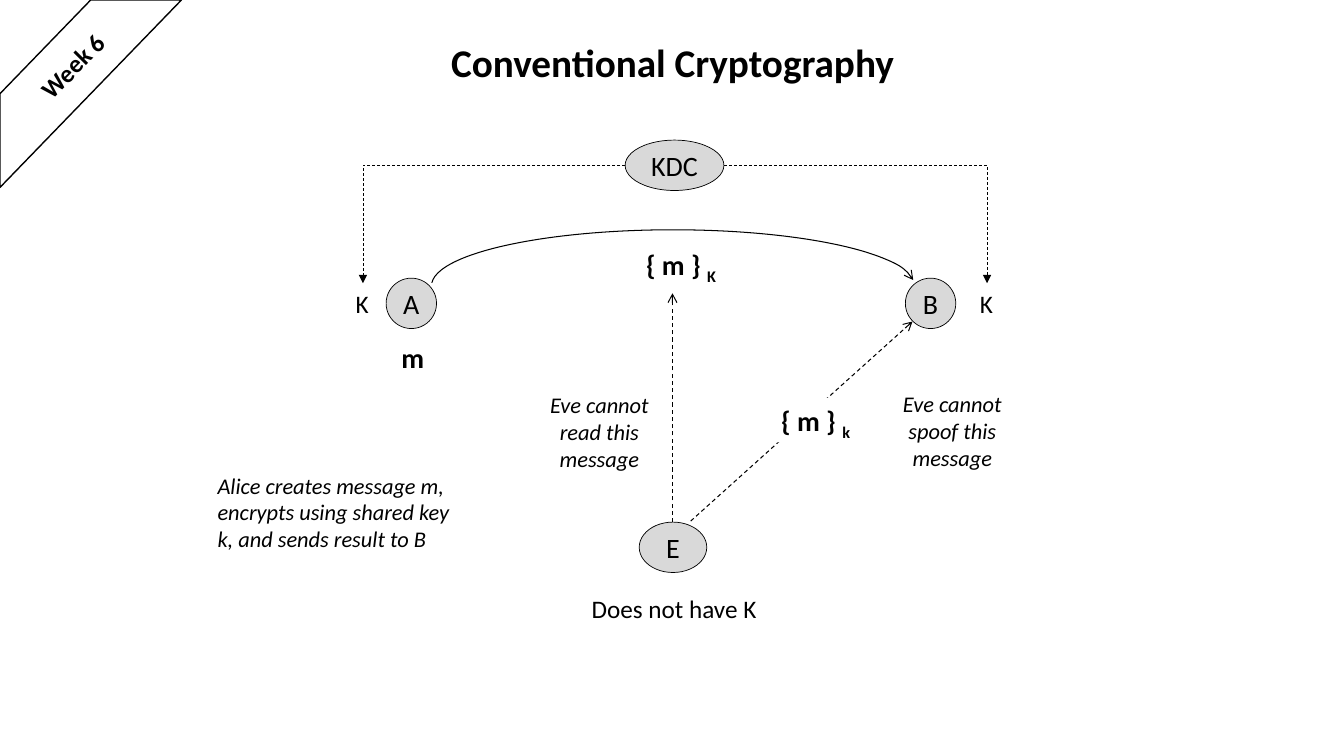
from lxml.etree import SubElement
from pptx import Presentation
from pptx.dml.color import RGBColor
from pptx.enum.dml import MSO_LINE
from pptx.enum.shapes import MSO_CONNECTOR, MSO_SHAPE
from pptx.enum.text import MSO_ANCHOR, PP_ALIGN
from pptx.oxml.ns import qn
from pptx.util import Inches, Pt

BLACK = RGBColor(0x00, 0x00, 0x00)
WHITE = RGBColor(0xFF, 0xFF, 0xFF)
GREY = RGBColor(0xD9, 0xD9, 0xD9)
LEFT, CENTER = PP_ALIGN.LEFT, PP_ALIGN.CENTER

deck = Presentation()
deck.slide_width, deck.slide_height = Inches(13.33), Inches(7.5)
page = deck.slides.add_slide(deck.slide_layouts[6])


def write(shape, text, size, align=CENTER, anchor=MSO_ANCHOR.TOP, wrap=False, subscript="", **style):
    """Fill a shape with text, one paragraph a line, and an optional subscript."""
    frame = shape.text_frame
    frame.word_wrap, frame.vertical_anchor = wrap, anchor
    look = {"name": "Calibri", "size": Pt(size), **style}
    for number, line in enumerate(text.split("\n")):
        para = frame.add_paragraph() if number else frame.paragraphs[0]
        para.alignment = align
        for part in filter(None, (line, subscript)):
            span = para.add_run()
            span.text = part
            for key, value in look.items():
                setattr(span.font, key, value)
            span.font.color.rgb = BLACK
            if part == subscript:
                span.font._element.set("baseline", "-25000")


def draw_line(shape, width, head=None, dash=None):
    """Give a shape or connector a black line, with an optional end arrow."""
    shape.line.color.rgb = BLACK
    shape.line.width = Pt(width)
    if dash:
        shape.line.dash_style = dash
    if head:
        SubElement(shape.line._get_or_add_ln(), qn("a:tailEnd"), type=head)


# Corner ribbon
ribbon = page.shapes.add_shape(MSO_SHAPE.DIAGONAL_STRIPE, 0, 0, Inches(1.8), Inches(1.86))
ribbon.shadow.inherit = False
ribbon.fill.solid()
ribbon.fill.fore_color.rgb = WHITE
draw_line(ribbon, 1)
week = page.shapes.add_textbox(Inches(0.23), Inches(0.45), Inches(0.98), Inches(0.4))
week.rotation = 314.8
write(week, "Week 6", 18, LEFT, bold=True)

# Title
title = page.shapes.add_textbox(Inches(2.17), Inches(0.02), Inches(9), Inches(1.25))
write(title, "Conventional Cryptography", 28, anchor=MSO_ANCHOR.MIDDLE, wrap=True, bold=True)
title.text_frame.paragraphs[0].line_spacing = 0.9

# Parties
for name, left, top, width in (
    ("A", 3.83, 2.76, 0.5),
    ("B", 8.98, 2.76, 0.5),
    ("KDC", 6.2, 1.39, 0.98),
    ("E", 6.34, 5.18, 0.67),
):
    party = page.shapes.add_shape(MSO_SHAPE.OVAL, Inches(left), Inches(top), Inches(width), Inches(0.5))
    party.shadow.inherit = False
    party.fill.solid()
    party.fill.fore_color.rgb = GREY
    draw_line(party, 0.5)
    write(party, name, 20, anchor=MSO_ANCHOR.MIDDLE)

# Message arc from A to B
arc = page.shapes.add_shape(MSO_SHAPE.ARC, Inches(4.28), Inches(2.28), Inches(4.79), Inches(1.11))
arc.shadow.inherit = False
arc.adjustments[0], arc.adjustments[1] = 108.417, 215.183
arc.fill.background()
draw_line(arc, 0.75, "arrow")

# Key distribution and Eve's attempts
for kind, start_x, start_y, end_x, end_y, width, head in (
    (MSO_CONNECTOR.ELBOW, 7.18, 1.64, 9.79, 2.81, 0.5, "triangle"),
    (MSO_CONNECTOR.ELBOW, 6.2, 1.64, 3.6, 2.81, 0.5, "triangle"),
    (MSO_CONNECTOR.STRAIGHT, 6.67, 5.18, 6.67, 2.91, 0.75, "arrow"),
    (MSO_CONNECTOR.STRAIGHT, 6.85, 5.17, 9.05, 3.19, 0.75, "arrow"),
):
    arrow = page.shapes.add_connector(kind, Inches(start_x), Inches(start_y), Inches(end_x), Inches(end_y))
    draw_line(arrow, width, head, MSO_LINE.DASH)
    properties = arrow._element.spPr
    SubElement(properties, qn("a:effectLst"))
    if kind == MSO_CONNECTOR.ELBOW:
        properties.find(qn("a:prstGeom")).set("prst", "bentConnector2")

# Labels and notes
for text, left, top, width, height, size, align, style in (
    ("K", 3.43, 2.81, 0.33, 0.4, 18, LEFT, {}),
    ("K", 9.62, 2.81, 0.33, 0.4, 18, LEFT, {}),
    ("Does not have K", 5.77, 5.84, 1.86, 0.4, 18, LEFT, {}),
    ("m", 3.88, 3.33, 0.43, 0.44, 20, CENTER, {"bold": True}),
    ("{ m } ", 6.3, 2.41, 0.91, 0.44, 20, CENTER, {"bold": True, "subscript": "K"}),
    ("{ m } ", 7.64, 3.95, 0.9, 0.44, 20, CENTER, {"bold": True, "subscript": "k"}),
    ("Eve cannot\nread this\nmessage", 5.35, 3.83, 1.19, 0.91, 16, CENTER, {"italic": True}),
    ("Eve cannot\nspoof this\nmessage", 8.85, 3.82, 1.19, 0.91, 16, CENTER, {"italic": True}),
    ("Alice creates message m,\nencrypts using shared key\nk, and sends result to B",
     2.06, 4.63, 6.67, 0.91, 16, LEFT, {"italic": True, "wrap": True}),
):
    label = page.shapes.add_textbox(Inches(left), Inches(top), Inches(width), Inches(height))
    write(label, text, size, align, **style)
    # The spoofed message covers the arrow behind it
    if style.get("subscript") == "k":
        label.fill.solid()
        label.fill.fore_color.rgb = WHITE

deck.save("out.pptx")
